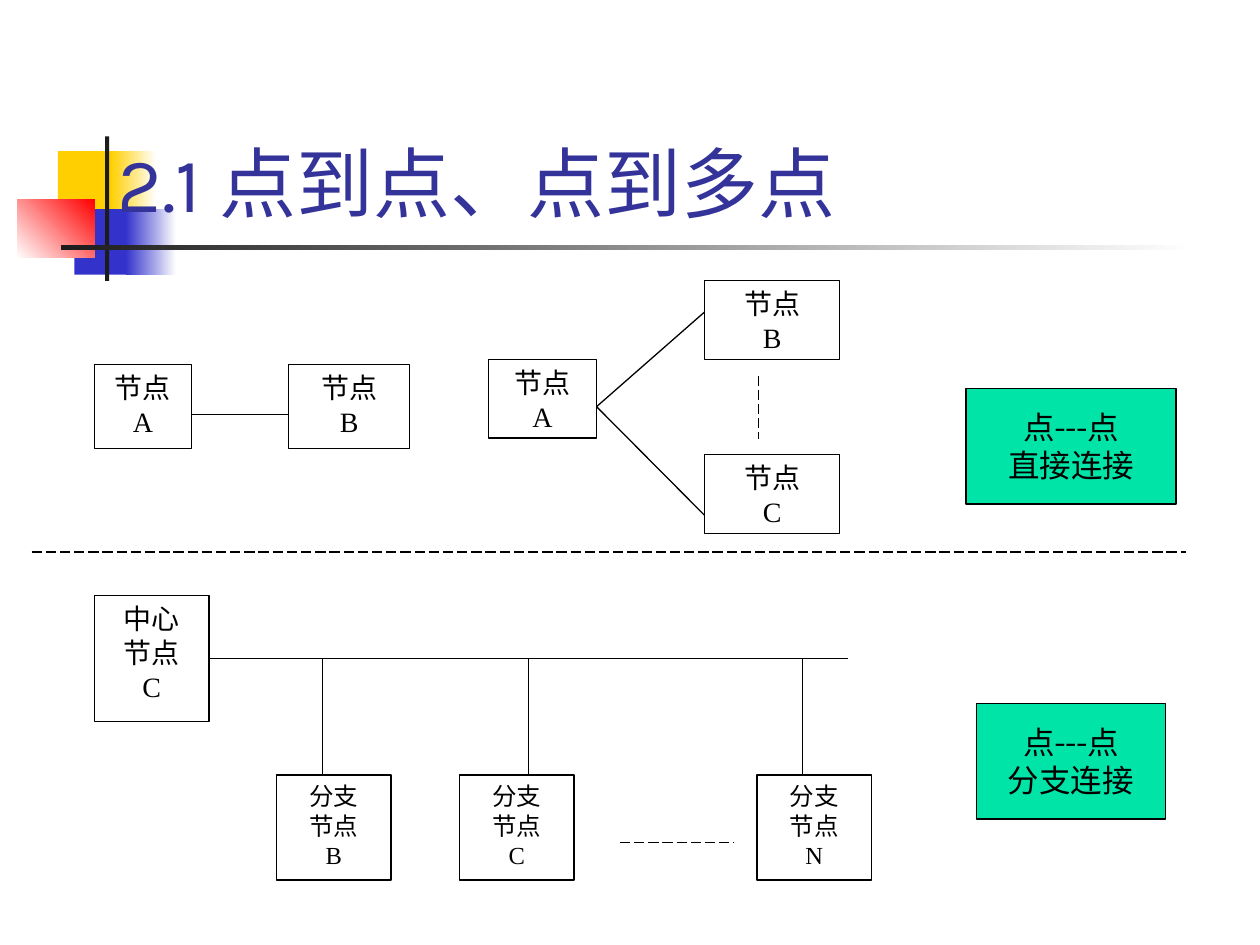
from lxml import etree
from pptx import Presentation
from pptx import util as u
from pptx.dml.color import RGBColor
from pptx.enum import dml, shapes, text
from pptx.oxml.ns import qn

THEME = {
    "ink": "000000", "paper": "FFFFFF", "title": "333399", "accent": "00E4A8",
    "yellow": "FFCF01", "blue": "3333CC", "red": "FF0000", "dark": "1C1C1C",
    "latin": "Times New Roman", "display": "Karla",
    "title_size": 44, "label_size": 18, "node_size": 16, "branch_size": 14,
    "line": 0.75,
}
TITLE = ("2.1 点到点、点到多点", (60, 18.7, 613.4, 115.2))

DECORATION = [
    ((33.1, 86.4, 34.6, 37.4), ["yellow"], 0),
    ((63.4, 86.4, 25.9, 37.4), ["yellow", "paper"], 0),
    ((42.5, 119.5, 33.1, 37.4), ["blue"], 0),
    ((72, 119.5, 28.8, 37.4), ["blue", "paper"], 0),
    ((9.8, 113.8, 44.4, 33.5), ["paper", "red"], 45),
    ((60, 78, 2.4, 82.6), ["dark"], 0),
    ((34.8, 140.2, 648, 2.4), ["dark", "paper"], 0),
]

PAIR = [("A", (54, 208.2, 55.4, 48)), ("B", (165, 208.2, 69, 48))]
MULTIPOINT = [
    ("A", (279, 205.4, 61.9, 45)),
    ("B", (402.5, 160.4, 77.4, 45)),
    ("C", (402.5, 259.7, 77.4, 45)),
]
CENTER = ("C", (54, 340.4, 65.4, 72))
BRANCHES = [("B", 158, 184.4), ("C", 262.6, 301.9), ("N", 432.5, 458.6)]
BRANCH_TOP, BRANCH_WIDTH, BRANCH_HEIGHT = 442.8, 65.4, 60
BUS_END = 484.7

CAPTIONS = [
    (["点---点", "直接连接"], (552, 222, 120, 66)),
    (["点---点", "分支连接"], (558, 402, 108, 66)),
]
DASHES = [
    (433.6, 214.6, 433.6, 250.6),
    (18, 315.4, 678, 315.4),
    (354.2, 481.4, 419.6, 481.4),
]


def color(name):
    return RGBColor.from_string(THEME[name])


def add_rectangle(slide, box):
    shape = slide.shapes.add_shape(shapes.MSO_SHAPE.RECTANGLE, *map(u.Pt, box))
    shape.shadow.inherit = False
    return shape


def add_decoration(slide, box, colors, angle):
    shape = add_rectangle(slide, box)
    shape.line.fill.background()
    if len(colors) == 1:
        shape.fill.solid()
        shape.fill.fore_color.rgb = color(colors[0])
        return
    shape.fill.gradient()
    shape.fill.gradient_angle = angle
    for stop, name in zip(shape.fill.gradient_stops, colors):
        stop.color.rgb = color(name)


def format_runs(frame, font, size, ink, alignment):
    for paragraph in frame.paragraphs:
        paragraph.alignment = alignment
        for run in paragraph.runs:
            run.font.name = THEME[font]
            run.font.size = u.Pt(THEME[size])
            run.font.color.rgb = color(ink)


def add_box(slide, lines, box, size="node_size", font="latin", fill="paper",
            anchor=text.MSO_ANCHOR.TOP, wrap=True):
    shape = add_rectangle(slide, box)
    shape.fill.solid()
    shape.fill.fore_color.rgb = color(fill)
    shape.line.color.rgb = color("ink")
    shape.line.width = u.Pt(THEME["line"])
    frame = shape.text_frame
    frame.text = "\n".join(lines)
    frame.word_wrap = wrap
    frame.vertical_anchor = anchor
    format_runs(frame, font, size, "ink", text.PP_ALIGN.CENTER)


def add_line(slide, ends, dashed=False):
    line = slide.shapes.add_connector(shapes.MSO_CONNECTOR.STRAIGHT, *map(u.Pt, ends))
    line.line.color.rgb = color("ink")
    line.line.width = u.Pt(THEME["line"])
    if dashed:
        line.line.dash_style = dml.MSO_LINE.LONG_DASH
    etree.SubElement(line.element.spPr, qn("a:effectLst"))


def add_title(slide):
    title = slide.shapes.title
    content, box = TITLE
    title.left, title.top, title.width, title.height = map(u.Pt, box)
    frame = title.text_frame
    frame.text = content
    frame.word_wrap = True
    frame.auto_size = text.MSO_AUTO_SIZE.NONE
    frame.vertical_anchor = text.MSO_ANCHOR.BOTTOM
    format_runs(frame, "display", "title_size", "title", text.PP_ALIGN.LEFT)
    title.element.getparent().append(title.element)


def add_direct_links(slide):
    for name, box in PAIR + MULTIPOINT:
        add_box(slide, ["节点", name], box)
    left, top, width, height = PAIR[0][1]
    middle = top + 0.6 * height
    add_line(slide, (left + width, middle, PAIR[1][1][0], middle))
    left, top, width, height = MULTIPOINT[0][1]
    for (name, target), share in zip(MULTIPOINT[1:], (0.4, 0.77)):
        add_line(slide, (left + width, top + 0.6 * height,
                         target[0], target[1] + share * target[3]))


def add_branch_links(slide):
    name, box = CENTER
    add_box(slide, ["中心", "节点", name], box)
    left, top, width, height = box
    bus = top + height / 2
    add_line(slide, (left + width, bus, BUS_END, bus))
    for name, branch_left, drop in BRANCHES:
        branch_box = (branch_left, BRANCH_TOP, BRANCH_WIDTH, BRANCH_HEIGHT)
        add_box(slide, ["分支", "节点", name], branch_box, "branch_size")
        add_line(slide, (drop, bus, drop, BRANCH_TOP))


def main():
    presentation = Presentation()
    presentation.slide_width, presentation.slide_height = u.Pt(720), u.Pt(540)
    slide = presentation.slides.add_slide(presentation.slide_layouts[5])
    for box, colors, angle in DECORATION:
        add_decoration(slide, box, colors, angle)
    add_title(slide)
    add_direct_links(slide)
    add_branch_links(slide)
    for lines, box in CAPTIONS:
        add_box(slide, lines, box, "label_size", "display", "accent",
                text.MSO_ANCHOR.MIDDLE, wrap=False)
    for ends in DASHES:
        add_line(slide, ends, dashed=True)
    presentation.save("out.pptx")


if __name__ == "__main__":
    main()
